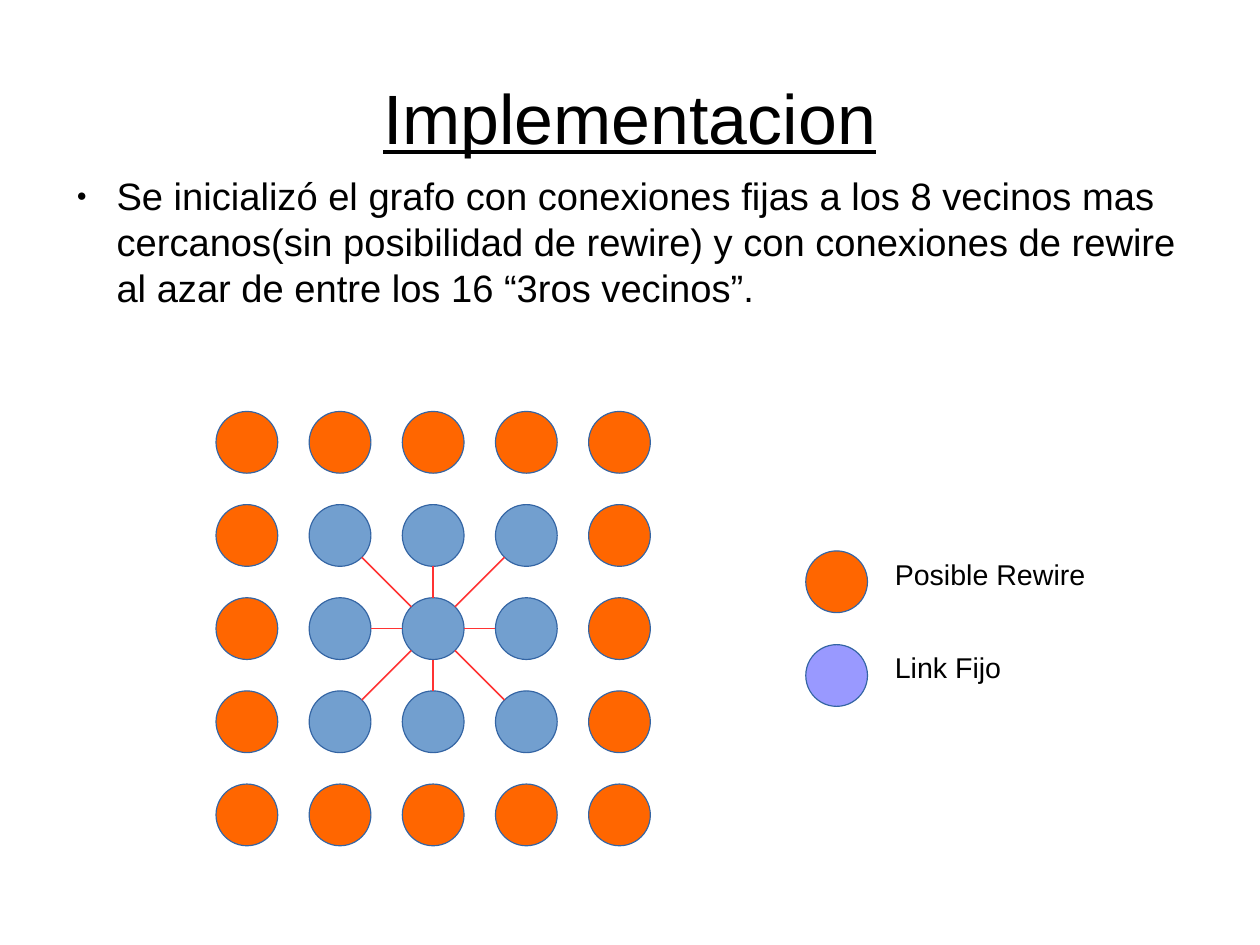
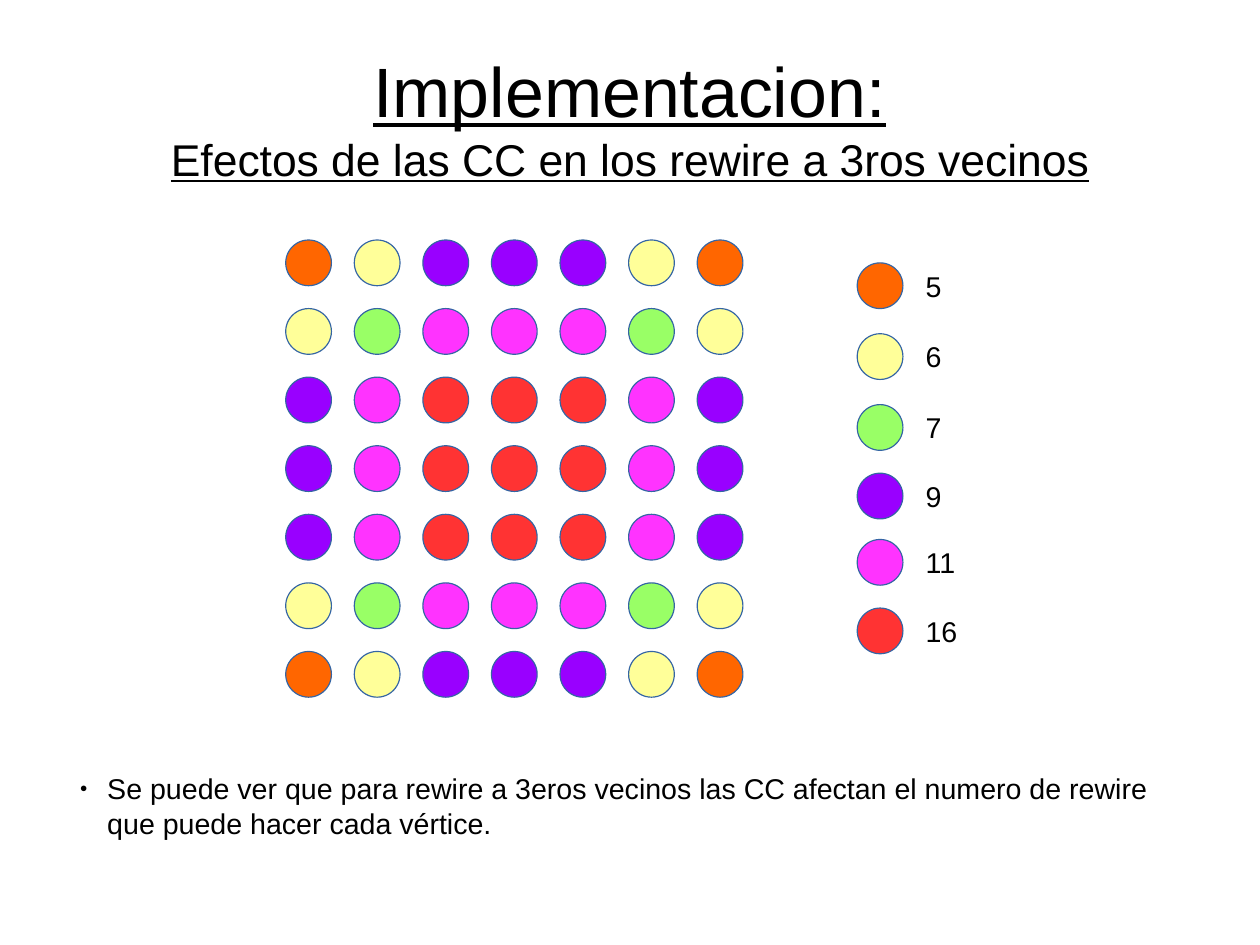
"""Build two slides on lattice rewiring, each with a grid of nodes and a legend."""
import math

import pptx
import pptx.dml.color
import pptx.enum.shapes
import pptx.enum.text
import pptx.oxml.ns
import pptx.util
from lxml import etree

Inches = pptx.util.Inches
Pt = pptx.util.Pt

CM_PER_INCH = 2.54
SLIDE_CM = (28, 21)
FONT = "Arial"
BLACK = "000000"
OUTLINE = "3465A4"
LINK = "FF3333"
FIXED = "729FCF"
REWIRE = "FF6600"

LATTICE = {
    "title": [("Implementacion", 44)],
    "body": "Se inicializó el grafo con conexiones fijas a los 8 vecinos mas cercanos(sin "
            "posibilidad de rewire) y con conexiones de rewire al azar de entre los 16 "
            "“3ros vecinos”.",
    "legend": [("Posible Rewire", REWIRE, 4.82), ("Link Fijo", "9999FF", 5.64)],
}
BORDER = {
    "title": [("Implementacion:", 44), ("Efectos de las CC en los rewire a 3ros vecinos", 28)],
    "body": "Se puede ver que para rewire a 3eros vecinos las CC afectan el numero de rewire "
            "que puede hacer cada vértice.",
    "legend": [("5", "FF6600", 2.3), ("6", "FFFF99", 2.92), ("7", "99FF66", 3.54),
               ("9", "9900FF", 4.14), ("11", "FF33FF", 4.72), ("16", "FF3333", 5.32)],
}
REWIRES_BY_DEPTH = {(0, 0): "5", (0, 1): "6", (1, 1): "7", (0, 2): "9", (1, 2): "11", (2, 2): "16"}


def rgb(value):
    return pptx.dml.color.RGBColor.from_string(value)


def add_run(p, text, size, underline=None):
    r = p.add_run()
    r.text = text
    r.font.name = FONT
    r.font.size = Pt(size)
    r.font.color.rgb = rgb(BLACK)
    r.font.underline = underline


def place(sp, left, top, width, height):
    sp.left, sp.top, sp.width, sp.height = map(Inches, (left, top, width, height))


def set_margins(tf, x, y):
    tf.margin_left = tf.margin_right = Inches(x)
    tf.margin_top = tf.margin_bottom = Inches(y)


def add_titled_slide(prs, lines):
    s = prs.slides.add_slide(prs.slide_layouts[5])
    place(s.shapes.title, 0.55, 0.33, 9.92, 1.38)
    tf = s.shapes.title.text_frame
    set_margins(tf, 0, 0)
    tf.auto_size = pptx.enum.text.MSO_AUTO_SIZE.NONE
    tf.vertical_anchor = pptx.enum.text.MSO_ANCHOR.MIDDLE
    p = tf.paragraphs[0]
    p.alignment = pptx.enum.text.PP_ALIGN.CENTER
    for i, (text, size) in enumerate(lines):
        if i:
            p.add_line_break()
        add_run(p, text, size, underline=True)
    return s


def add_text(s, text, size, box, margins=(0.1, 0.05)):
    tf = s.shapes.add_textbox(*map(Inches, box)).text_frame
    tf.word_wrap = True
    set_margins(tf, *margins)
    p = tf.paragraphs[0]
    add_run(p, text, size)
    return p


def set_bullet(p, margin, hanging):
    qn = pptx.oxml.ns.qn
    pr = p._p.get_or_add_pPr()
    pr.set("marL", str(Inches(margin)))
    pr.set("indent", str(-Inches(hanging)))
    color = etree.SubElement(pr, qn("a:buClr"))
    etree.SubElement(color, qn("a:srgbClr"), val=BLACK)
    etree.SubElement(pr, qn("a:buSzPct"), val="45000")
    etree.SubElement(pr, qn("a:buFont"), typeface=FONT)
    etree.SubElement(pr, qn("a:buChar"), char="●")


def add_node(s, left, top, size, color):
    sp = s.shapes.add_shape(pptx.enum.shapes.MSO_SHAPE.OVAL, *map(Inches, (left, top, size, size)))
    sp.shadow.inherit = False
    sp.fill.solid()
    sp.fill.fore_color.rgb = rgb(color)
    sp.line.color.rgb = rgb(OUTLINE)
    sp.line.width = Pt(0)


def add_grid(s, left, top, count, step, size, color_at):
    for row in range(count):
        for col in range(count):
            add_node(s, left + col * step, top + row * step, size, color_at(row, col))


def add_legend(s, entries, node_left, size, text_left, width, height):
    for label, color, top in entries:
        add_node(s, node_left, top, size, color)
        add_text(s, label, 18, (text_left, top, width, height))


def add_links(s, x, y, step, radius):
    kinds = pptx.enum.shapes.MSO_CONNECTOR
    for k in range(8):
        diagonal = k % 2
        angle = k * math.pi / 4
        ux, uy = math.cos(angle), math.sin(angle)
        reach = step * (math.sqrt(2) if diagonal else 1) - radius
        ends = (x + radius * ux, y + radius * uy, x + reach * ux, y + reach * uy)
        kind = kinds.STRAIGHT if diagonal else kinds.ELBOW
        link = s.shapes.add_connector(kind, *map(Inches, ends))
        link.line.color.rgb = rgb(LINK)
        link.line.width = Pt(1)
        etree.SubElement(link._element.spPr, pptx.oxml.ns.qn("a:effectLst"))


def build_lattice(prs):
    s = add_titled_slide(prs, LATTICE["title"])
    p = add_text(s, LATTICE["body"], 24, (0.55, 1.51, 9.92, 4.79), (0, 0))
    set_bullet(p, 0.47, 0.35)
    left, top, size = 1.89, 3.6, 0.54
    step = (5.15 - left) / 4
    add_grid(s, left, top, 5, step, size,
             lambda row, col: FIXED if max(abs(row - 2), abs(col - 2)) < 2 else REWIRE)
    middle = 2 * step + size / 2
    add_links(s, left + middle, top + middle, step, size / 2)
    add_legend(s, LATTICE["legend"], 7.05, size, 7.73, 2.58, 0.51)


def build_border(prs):
    s = add_titled_slide(prs, BORDER["title"])
    count, size = 7, 0.4
    colors = {label: color for label, color, _ in BORDER["legend"]}

    def color_at(row, col):
        depths = sorted(min(i, count - 1 - i, 2) for i in (row, col))
        return colors[REWIRES_BY_DEPTH[tuple(depths)]]

    add_grid(s, 2.5, 2.1, count, 0.6, size, color_at)
    add_legend(s, BORDER["legend"], 7.5, size, 8, 0.6, 0.38)
    p = add_text(s, BORDER["body"], 18, (0.6, 6.7, 9.8, 0.66))
    set_bullet(p, 0.24, 0.24)


def main():
    prs = pptx.Presentation()
    prs.slide_width, prs.slide_height = (Inches(side / CM_PER_INCH) for side in SLIDE_CM)
    build_lattice(prs)
    build_border(prs)
    prs.save("out.pptx")


if __name__ == "__main__":
    main()
